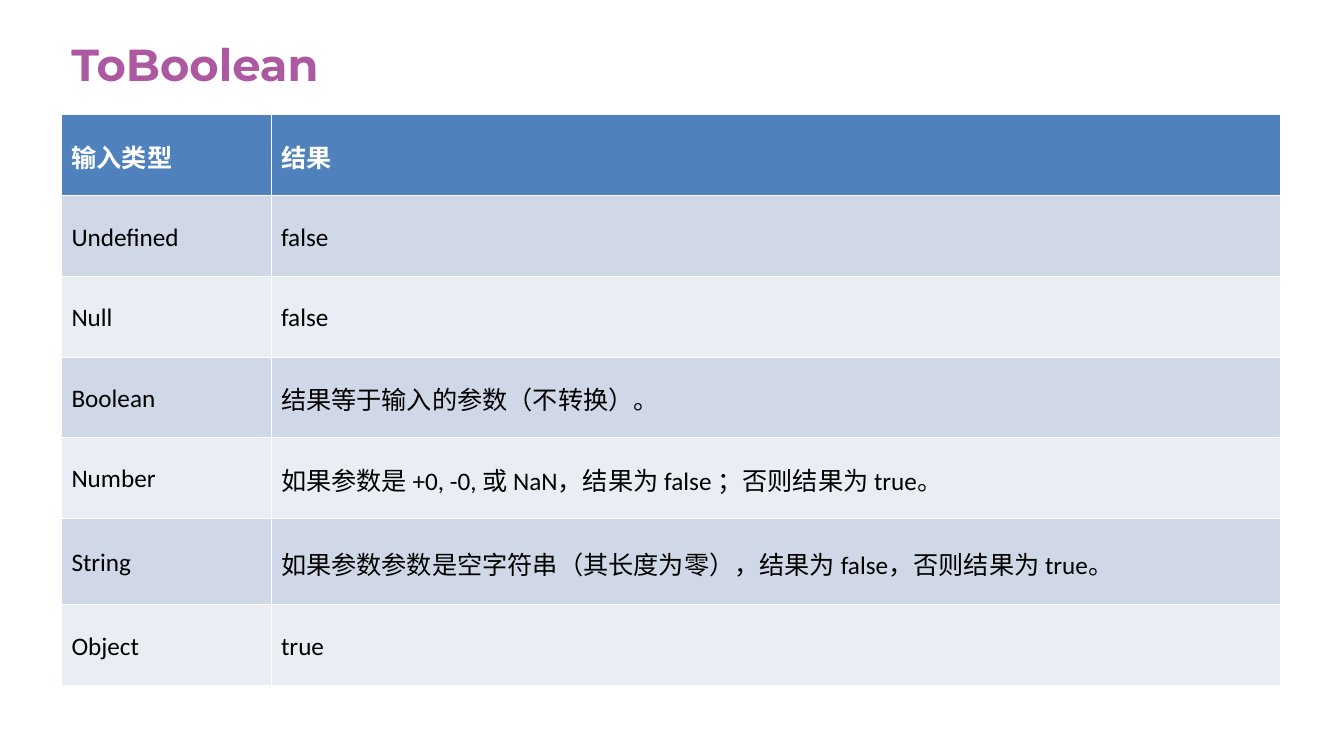
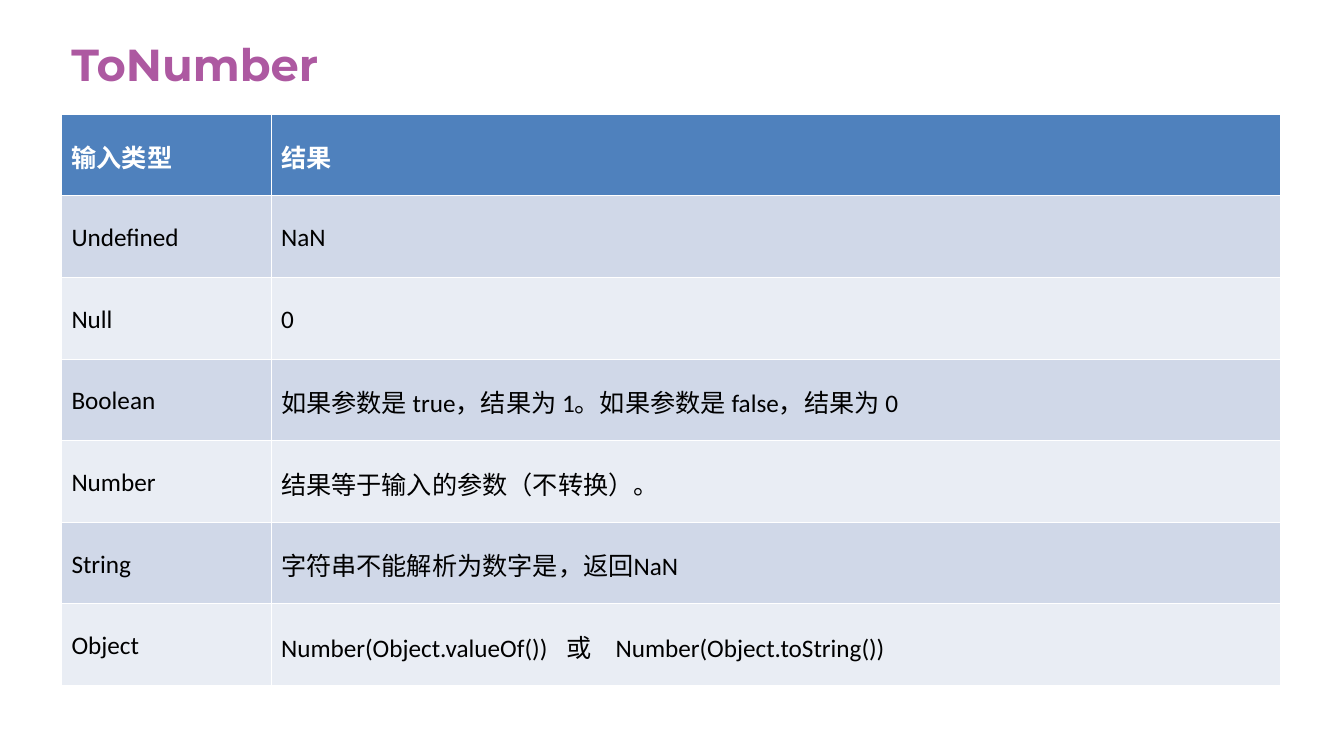
from pptx import Presentation
from pptx import util as u
from pptx.dml import color
from pptx.enum import lang, text
from pptx.oxml import ns
from lxml import etree

WHITE, BLACK = "FFFFFF", "000000"
PLUM, BLUE = "AD59A1", "4F81BD"
BANDS = ("D0D8E8", "E9EDF4")
LEFT, WIDTH = 0.61, 12.1
COLS = (2.08, 10.02)
HEAD = ("输入类型", "结果")
TYPES = ("Undefined", "Null", "Boolean", "Number", "String", "Object")
SAME = "结果等于输入的参数（不转换）。"
THIN, THICK = 0.45, 1.47

SLIDES = (
    ("ToBoolean", (0.81, 0.8, 0.8, 0.8, 0.8, 0.86, 0.8), (
        "false",
        "false",
        SAME,
        "如果参数是 +0, -0, 或 NaN，结果为 false ；否则结果为 true。",
        "如果参数参数是空字符串（其长度为零），结果为 false，否则结果为 true。",
        "true",
    )),
    ("ToNumber", (0.81,) * 7, (
        "NaN",
        "0",
        "如果参数是 true，结果为 1。如果参数是 false，结果为 0",
        SAME,
        "字符串不能解析为数字是，返回NaN",
        "Number(Object.valueOf())\t或\tNumber(Object.toString())",
    )),
)
STOPS = (2.83, 3.32)


def rgb(code):
    return color.RGBColor.from_string(code)


def add_run(para, words, font, size, tint, bold):
    run = para.add_run()
    run.text = words
    run.font.name = font
    run.font.size = u.Pt(size)
    run.font.bold = bold
    run.font.color.rgb = rgb(tint)
    run.font.language_id = lang.MSO_LANGUAGE_ID.SIMPLIFIED_CHINESE


def add_title(slide, words):
    box = slide.shapes.add_textbox(
        u.Inches(LEFT), u.Inches(0.18), u.Inches(WIDTH), u.Inches(0.77))
    frame = box.text_frame
    frame.word_wrap = True
    frame.vertical_anchor = text.MSO_ANCHOR.BOTTOM
    para = frame.paragraphs[0]
    para.line_spacing = 0.9
    add_run(para, words, "Montserrat", 32, PLUM, True)


def set_tabs(para, stops):
    tabs = etree.SubElement(para._p.get_or_add_pPr(), ns.qn("a:tabLst"))
    for stop in stops:
        etree.SubElement(tabs, ns.qn("a:tab"),
                         pos=str(u.Inches(stop)), algn="l")


def set_edges(cell, top, base):
    props = cell._tc.get_or_add_tcPr()
    edges = (("L", THIN), ("R", THIN), ("T", top), ("B", base))
    for spot, (side, width) in enumerate(edges):
        line = etree.Element(ns.qn("a:ln" + side), w=str(u.Pt(width)))
        fill = etree.SubElement(line, ns.qn("a:solidFill"))
        etree.SubElement(fill, ns.qn("a:srgbClr"), val=WHITE)
        props.insert(spot, line)


def fill_cell(cell, words, row):
    head = row == 0
    cell.fill.solid()
    cell.fill.fore_color.rgb = rgb(BLUE if head else BANDS[(row - 1) % 2])
    set_edges(cell, THICK if row == 1 else THIN, THICK if head else THIN)
    cell.vertical_anchor = text.MSO_ANCHOR.MIDDLE
    para = cell.text_frame.paragraphs[0]
    para.alignment = text.PP_ALIGN.JUSTIFY
    para.line_spacing = 1.1
    para.space_before = u.Pt(4.5)
    if "\t" in words:
        set_tabs(para, STOPS)
    add_run(para, words, "Calibri", 18, WHITE if head else BLACK, head)


def add_grid(slide, rows, highs):
    frame = slide.shapes.add_table(
        len(rows), len(COLS), u.Inches(LEFT), u.Inches(1.13),
        u.Inches(WIDTH), u.Inches(sum(highs)))
    grid = frame.table
    for col, wide in zip(grid.columns, COLS):
        col.width = u.Inches(wide)
    for row, (pair, high) in enumerate(zip(rows, highs)):
        grid.rows[row].height = u.Inches(high)
        for col, words in enumerate(pair):
            fill_cell(grid.cell(row, col), words, row)


def main():
    deck = Presentation()
    deck.slide_width = u.Inches(13.34)
    deck.slide_height = u.Inches(7.5)
    for title, highs, results in SLIDES:
        slide = deck.slides.add_slide(deck.slide_layouts[6])
        add_title(slide, title)
        add_grid(slide, [HEAD, *zip(TYPES, results)], highs)
    deck.save("out.pptx")


if __name__ == "__main__":
    main()
